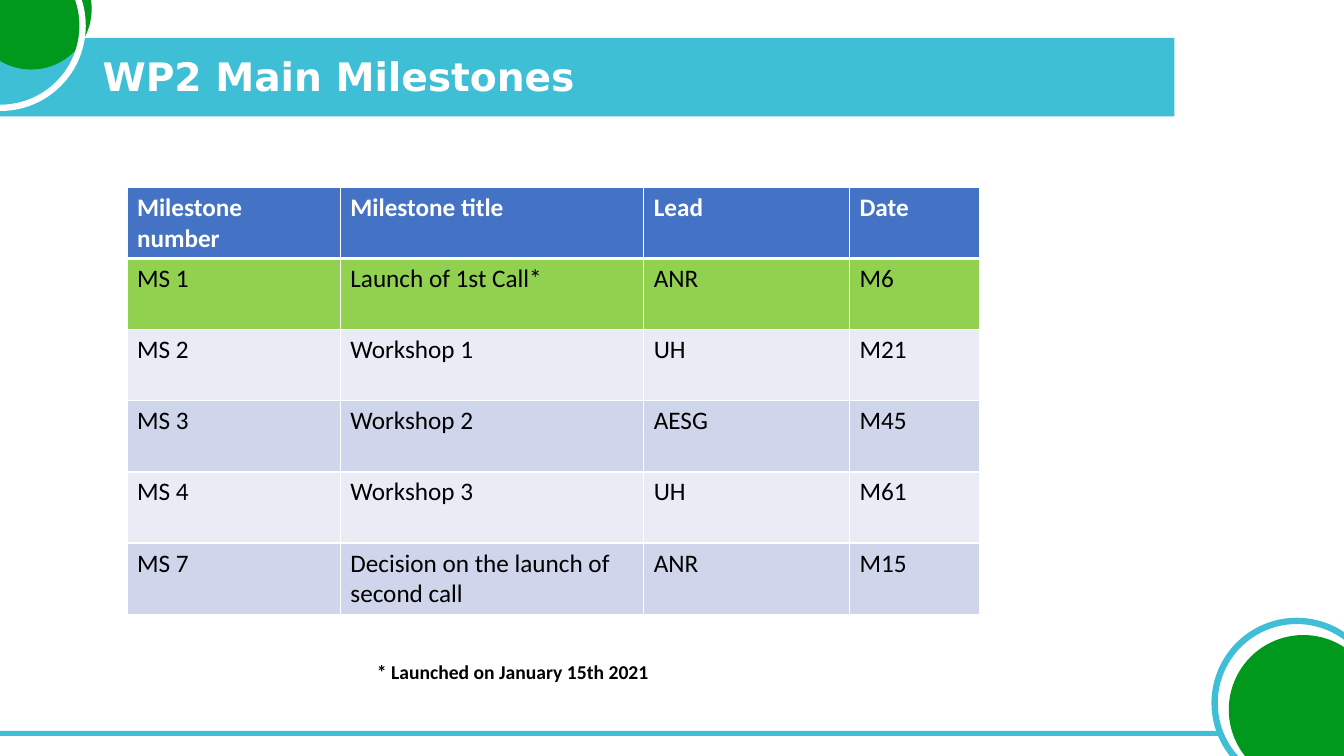
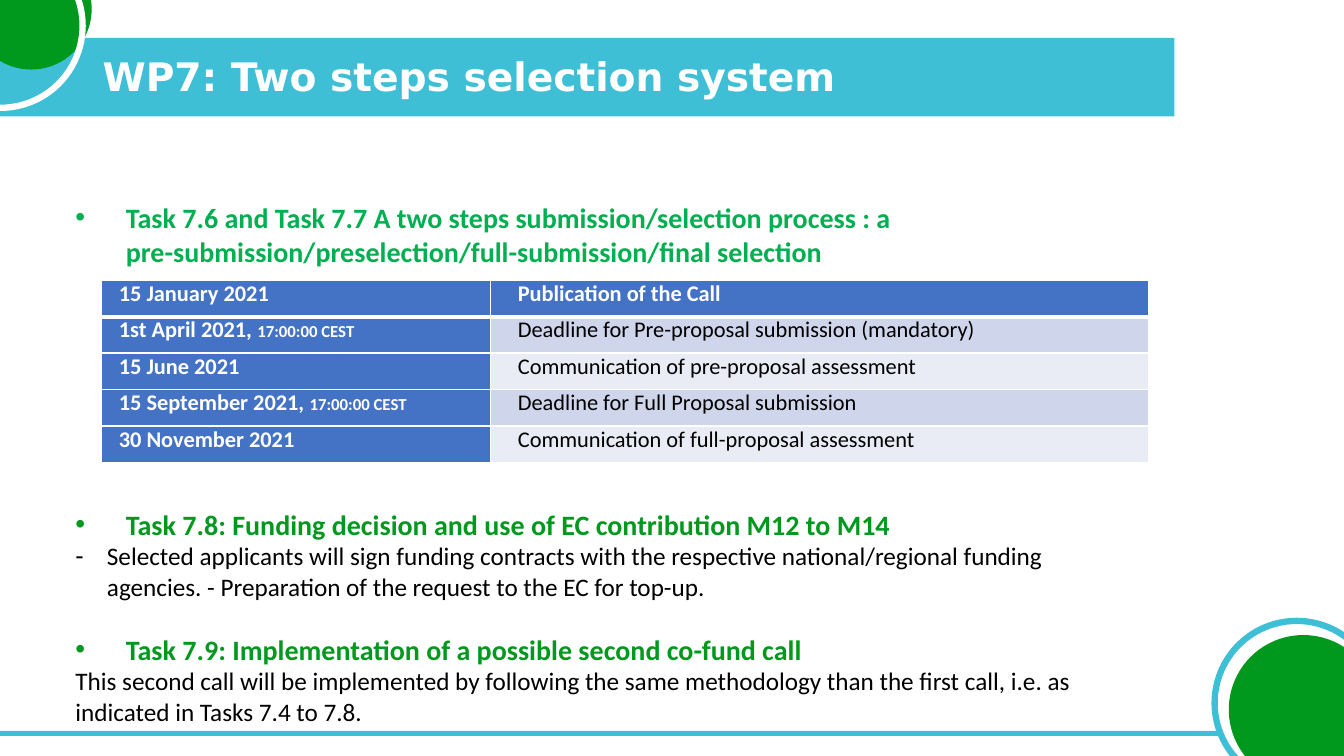
import lxml.etree
import pptx
import pptx.dml.color
import pptx.enum.shapes
import pptx.enum.text
import pptx.oxml.ns
import pptx.util

RGB = pptx.dml.color.RGBColor
OVAL = pptx.enum.shapes.MSO_SHAPE.OVAL
RECTANGLE = pptx.enum.shapes.MSO_SHAPE.RECTANGLE
ALIGN = pptx.enum.text.PP_ALIGN
ANCHOR = pptx.enum.text.MSO_ANCHOR
qn = pptx.oxml.ns.qn

# The slide is a grid of 160 columns by 90 rows of square units
COLUMNS, ROWS = 160, 90
UNIT = pptx.util.Inches(7.5) // ROWS

WHITE = RGB(0xFF, 0xFF, 0xFF)
BLACK = RGB(0x00, 0x00, 0x00)
TURQUOISE = RGB(0x3E, 0xBF, 0xD6)
GREEN = RGB(0x00, 0x99, 0x1D)
BRIGHT_GREEN = RGB(0x00, 0xB0, 0x50)
DONE_GREEN = RGB(0x92, 0xD0, 0x50)
HEADER_BLUE = RGB(0x44, 0x72, 0xC4)
BAND_DARK = RGB(0xCF, 0xD5, 0xEA)
BAND_LIGHT = RGB(0xE9, 0xEB, 0xF5)

BODY_FONT = "Calibri"
TITLE_FONT = "DejaVu Sans"


def grid(*units):
    return [pptx.util.Emu(round(unit * UNIT)) for unit in units]


def write(paragraph, text, size=18, color=BLACK, bold=False, font=BODY_FONT,
          align=None, indent=0, hang=0, bullet=None, before=0, line=None):
    """Add one formatted run to a paragraph and set the paragraph's format."""
    run = paragraph.add_run()
    run.text = text
    run.font.size = pptx.util.Pt(size)
    run.font.name = font
    run.font.bold = bold
    run.font.color.rgb = color
    paragraph.alignment = align
    paragraph.space_before = pptx.util.Pt(before)
    if line:
        paragraph.line_spacing = line
    margin, first = grid(indent, -hang)
    properties = paragraph._p.get_or_add_pPr()
    properties.set("marL", str(margin))
    properties.set("indent", str(first))
    if bullet:
        lxml.etree.SubElement(properties, qn("a:buFont"), typeface="Arial")
        lxml.etree.SubElement(properties, qn("a:buChar"), char=bullet)


def add_text_frame(slide, box, wrap=True, anchor=ANCHOR.TOP):
    frame = slide.shapes.add_textbox(*grid(*box)).text_frame
    frame.word_wrap = wrap
    frame.vertical_anchor = anchor
    return frame


def add_figure(slide, preset, box, fill=None, outline=None):
    figure = slide.shapes.add_shape(preset, *grid(*box))
    figure.shadow.inherit = False
    if fill:
        figure.fill.solid()
        figure.fill.fore_color.rgb = fill
    else:
        figure.fill.background()
    if outline:
        figure.line.color.rgb = outline
        figure.line.width = pptx.util.Pt(4.5)
    else:
        figure.line.fill.background()


def add_framed_slide(deck, title):
    """Blank slide with the shared bands, circles and title."""
    slide = deck.slides.add_slide(deck.slide_layouts[6])
    # Title band and footer rule
    add_figure(slide, RECTANGLE, (0, 4.5, 139.8, 9.36), fill=TURQUOISE)
    add_figure(slide, RECTANGLE, (0, 87, 145.44, 0.6), fill=TURQUOISE)
    # Corner circles
    for left, top, diameter, fill, outline in (
            (144.6, 73.92, 19.56, None, TURQUOISE),
            (146.28, 75.6, 17.76, GREEN, None),
            (-3.48, -6.12, 14.4, GREEN, None),
            (-9.72, -6.72, 19.56, None, WHITE)):
        add_figure(slide, OVAL, (left, top, diameter, diameter), fill, outline)
    # Title
    frame = add_text_frame(slide, (11.04, 6, 127, 6.72), anchor=ANCHOR.MIDDLE)
    write(frame.paragraphs[0], title, size=28, color=WHITE, bold=True,
          font=TITLE_FONT, line=0.9)
    return slide


def set_borders(cell, top, bottom):
    """White cell borders; widths in points."""
    properties = cell._tc.get_or_add_tcPr()
    for place, (side, width) in enumerate(
            (("L", 1), ("R", 1), ("T", top), ("B", bottom))):
        border = lxml.etree.Element(qn("a:ln" + side),
                                    w=str(pptx.util.Pt(width)))
        fill = lxml.etree.SubElement(border, qn("a:solidFill"))
        lxml.etree.SubElement(fill, qn("a:srgbClr"), val=str(WHITE))
        properties.insert(place, border)


def add_grid_table(slide, left, top, widths, row_height, rows, fill_of,
                   margins, size, indents=None, align=None):
    """Table whose cells hold a text, or a text and a smaller addition.

    fill_of(row, column) gives the fill; text on header blue is bold white.
    """
    box = grid(left, top, sum(widths), row_height * len(rows))
    table = slide.shapes.add_table(len(rows), len(widths), *box).table
    for column, width in zip(table.columns, grid(*widths)):
        column.width = width
    side, edge = grid(*margins)
    for r, texts in enumerate(rows):
        table.rows[r].height = grid(row_height)[0]
        for c, text in enumerate(texts):
            cell = table.cell(r, c)
            cell.margin_left = cell.margin_right = side
            cell.margin_top = cell.margin_bottom = edge
            fill = fill_of(r, c)
            cell.fill.solid()
            cell.fill.fore_color.rgb = fill
            set_borders(cell, top=3 if r == 1 else 1, bottom=3 if r == 0 else 1)
            heading = fill == HEADER_BLUE
            parts = (text,) if isinstance(text, str) else text
            for part, part_size in zip(parts, (size, 12)):
                write(cell.text_frame.paragraphs[0], part, size=part_size,
                      color=WHITE if heading else BLACK, bold=heading,
                      align=align, indent=indents[c] if indents else 0)


def milestone_fill(row, column):
    if row < 2:
        return (HEADER_BLUE, DONE_GREEN)[row]
    return BAND_DARK if row % 2 else BAND_LIGHT


def schedule_fill(row, column):
    if row == 0 or column == 0:
        return HEADER_BLUE
    return BAND_DARK if row % 2 else BAND_LIGHT


def build_milestones(deck):
    slide = add_framed_slide(deck, "WP2 Main Milestones")
    milestones = [
        ("Milestone number", "Milestone title", "Lead", "Date"),
        ("MS 1", "Launch of 1st Call*", "ANR", "M6"),
        ("MS 2", "Workshop 1", "UH", "M21"),
        ("MS 3", "Workshop 2", "AESG", "M45"),
        ("MS 4", "Workshop 3", "UH", "M61"),
        ("MS 7", "Decision on the launch of second call", "ANR", "M15"),
    ]
    add_grid_table(slide, 15.12, 22.32, (25.4, 36.12, 24.5, 15.5), 8.47,
                   milestones, milestone_fill, margins=(1.2, 0.6), size=18)
    # Footnote
    footnote = add_text_frame(slide, (43.68, 78, 34.92, 4.08), wrap=False)
    write(footnote.paragraphs[0], "* Launched on January 15th 2021",
          size=14, bold=True)


def build_selection(deck):
    slide = add_framed_slide(deck, "WP7: Two steps selection system")
    # Call schedule
    closing_time = "17:00:00 CEST"
    schedule = [
        ("15 January 2021", "Publication of the Call"),
        (("1st April 2021, ", closing_time),
         "Deadline for Pre-proposal submission (mandatory)"),
        ("15 June 2021", "Communication of pre-proposal assessment"),
        (("15 September 2021, ", closing_time),
         "Deadline for Full Proposal submission"),
        ("30 November 2021", "Communication of full-proposal assessment"),
    ]
    add_grid_table(slide, 12.12, 33.36, (46.3, 78.3), 4.34, schedule,
                   schedule_fill, margins=(0.84, 0), size=16,
                   indents=(1.2, 2.4), align=ALIGN.JUSTIFY)
    # Tasks, with room for the schedule after the first one
    heading = dict(size=20, color=GREEN, bold=True, indent=6, hang=6, bullet="•")
    tasks = [
        ("Task 7.6 and Task 7.7 A two steps submission/selection process : a "
         "pre-submission/preselection/full-submission/final selection",
         heading | dict(color=BRIGHT_GREEN)),
        ("Task 7.8: Funding decision and use of EC contribution M12 to M14",
         heading | dict(before=171)),
        ("Selected applicants will sign funding contracts with the respective "
         "national/regional funding agencies. - Preparation of the request to "
         "the EC for top-up.", dict(indent=3.75, hang=3.75, bullet="-")),
        ("Task 7.9: Implementation of a possible second co-fund call",
         heading | dict(before=22)),
        ("This second call will be implemented by following the same "
         "methodology than the first call, i.e. as indicated in Tasks 7.4 to "
         "7.8.", {}),
    ]
    frame = add_text_frame(slide, (7.8, 23.28, 129, 66))
    for number, (text, style) in enumerate(tasks):
        paragraph = frame.add_paragraph() if number else frame.paragraphs[0]
        write(paragraph, text, **style)


def main():
    deck = pptx.Presentation()
    deck.slide_width, deck.slide_height = COLUMNS * UNIT, ROWS * UNIT
    build_milestones(deck)
    build_selection(deck)
    deck.save("out.pptx")


if __name__ == "__main__":
    main()
